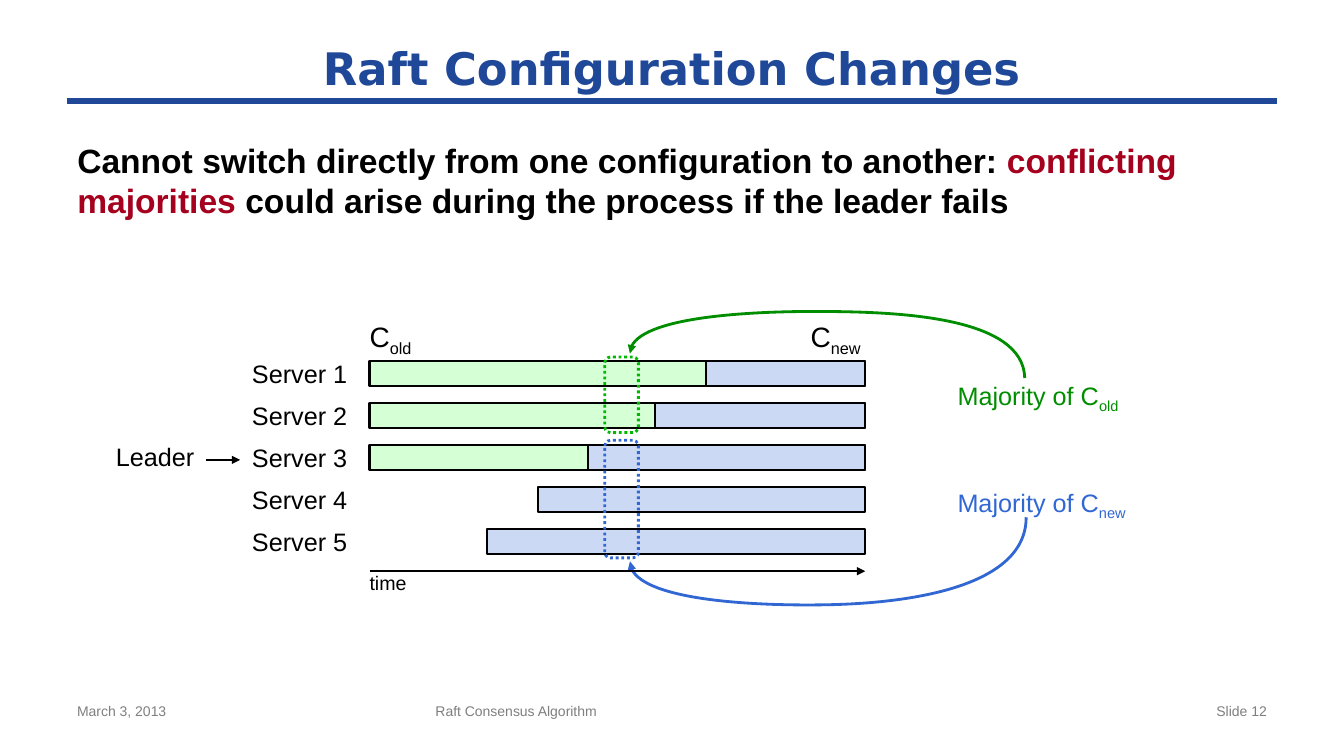
from dataclasses import dataclass

from lxml.etree import SubElement
from pptx import Presentation
from pptx.dml.color import RGBColor
from pptx.enum.dml import MSO_LINE
from pptx.enum.shapes import MSO_CONNECTOR, MSO_SHAPE
from pptx.enum.text import MSO_ANCHOR, MSO_AUTO_SIZE as AutoSize, PP_ALIGN
from pptx.oxml.ns import qn
from pptx.util import Pt

BLACK, NAVY, RED, GRAY = "000000", "1F4899", "A5001E", "7F7F7F"
OLD_FILL, NEW_FILL = "D5FFD5", "CCD9F4"
OLD_TEXT, OLD_FRAME, NEW_ACCENT = "008E00", "00B800", "3167D3"
BAR_LEFT, BAR_RIGHT, BAR_HEIGHT = 264, 618, 18
ROW_TOP, ROW_PITCH = 258, 30


@dataclass(frozen=True)
class Span:
    text: str
    color: str = BLACK
    subscript: bool = False


@dataclass(frozen=True)
class Label:
    left: float
    top: float
    width: float
    height: float
    size: float
    spans: tuple[Span, ...]


@dataclass(frozen=True)
class Server:
    name: str
    start: float
    switch: float


@dataclass(frozen=True)
class Majority:
    top: float
    height: float
    frame_color: str
    arrow_color: str
    arrow_points: tuple[tuple[float, float], ...]


SERVERS = (
    Server("Server 1", BAR_LEFT, 504),
    Server("Server 2", BAR_LEFT, 468),
    Server("Server 3", BAR_LEFT, 420),
    Server("Server 4", 384, 384),
    Server("Server 5", 348, 348),
)
MAJORITIES = (
    Majority(314.5, 84, NEW_ACCENT, NEW_ACCENT,
             ((733, 369.5), (733, 422), (641, 431), (592, 432),
              (542, 433), (449.5, 429), (450, 401))),
    Majority(255, 54, OLD_FRAME, OLD_TEXT,
             ((732, 270), (731, 226), (641, 223), (592, 222.5),
              (543.5, 222), (449.5, 225.5), (450, 252.5))),
)
LABELS = (
    Label(BAR_LEFT, 228, 32.4, 24.5, 20, (Span("C"), Span("old", subscript=True))),
    Label(579, 228, 39.6, 24.5, 20, (Span("C"), Span("new", subscript=True))),
    Label(684, 271.5, 118, 21.6, 18,
          (Span("Majority of C", OLD_TEXT), Span("old", OLD_TEXT, True))),
    Label(684, 348, 124, 21.6, 18,
          (Span("Majority of C", NEW_ACCENT), Span("new", NEW_ACCENT, True))),
    Label(BAR_LEFT, 408, 26.6, 17.3, 14, (Span("time"),)),
    Label(82.8, 315.5, 57, 21.6, 18, (Span("Leader"),)),
)
FOOTERS = (
    (48, 224, "March 3, 2013", PP_ALIGN.LEFT),
    (304, 360, "Raft Consensus Algorithm", PP_ALIGN.LEFT),
    (688, 224, "Slide 12", PP_ALIGN.RIGHT),
)


def rgb(color: str) -> RGBColor:
    return RGBColor.from_string(color)


def place(shape, left: float, top: float, width: float, height: float) -> None:
    shape.left, shape.top = Pt(left), Pt(top)
    shape.width, shape.height = Pt(width), Pt(height)


def add_spans(paragraph, spans: tuple[Span, ...], size: float,
              font_name: str = "Arial", bold: bool = False) -> None:
    for span in spans:
        run = paragraph.add_run()
        run.text = span.text
        run.font.name, run.font.size, run.font.bold = font_name, Pt(size), bold
        run.font.color.rgb = rgb(span.color)
        if span.subscript:
            run.font._element.set("baseline", "-25000")


def style_line(line, color: str, width: float) -> None:
    line.color.rgb = rgb(color)
    line.width = Pt(width)


def add_arrowhead(line) -> None:
    SubElement(line._get_or_add_ln(), qn("a:tailEnd"), type="triangle")


def add_line(slide, left: float, right: float, y: float, color: str,
             width: float, arrow: bool = False) -> None:
    connector = slide.shapes.add_connector(
        MSO_CONNECTOR.STRAIGHT, Pt(left), Pt(y), Pt(right), Pt(y))
    style_line(connector.line, color, width)
    if arrow:
        add_arrowhead(connector.line)
    SubElement(connector._element.spPr, qn("a:effectLst"))


def add_bar(slide, left: float, top: float, fill: str) -> None:
    shape = slide.shapes.add_shape(
        MSO_SHAPE.RECTANGLE, Pt(left), Pt(top), Pt(BAR_RIGHT - left), Pt(BAR_HEIGHT))
    shape.shadow.inherit = False
    shape.fill.solid()
    shape.fill.fore_color.rgb = rgb(fill)
    style_line(shape.line, BLACK, 1.5)


def add_label(slide, label: Label) -> None:
    box = slide.shapes.add_textbox(
        Pt(label.left), Pt(label.top), Pt(label.width), Pt(label.height))
    frame = box.text_frame
    frame.margin_left = frame.margin_right = frame.margin_top = frame.margin_bottom = 0
    frame.word_wrap = False
    frame.auto_size = AutoSize.SHAPE_TO_FIT_TEXT
    add_spans(frame.paragraphs[0], label.spans, label.size)


def add_majority(slide, majority: Majority) -> None:
    shape = slide.shapes.add_shape(
        MSO_SHAPE.ROUNDED_RECTANGLE, Pt(432), Pt(majority.top), Pt(24), Pt(majority.height))
    shape.shadow.inherit = False
    shape.fill.background()
    style_line(shape.line, majority.frame_color, 2)
    shape.line.dash_style = MSO_LINE.ROUND_DOT


def add_curved_arrow(slide, majority: Majority) -> None:
    start, *points = [(Pt(x), Pt(y)) for x, y in majority.arrow_points]
    builder = slide.shapes.build_freeform(*start)
    builder.add_line_segments(points, close=False)
    shape = builder.convert_to_shape()
    shape.shadow.inherit = False
    shape.fill.background()
    style_line(shape.line, majority.arrow_color, 2)
    add_arrowhead(shape.line)
    outline = next(shape._element.iter(qn("a:path")))
    segments = outline.findall(qn("a:lnTo"))
    for first in range(0, len(segments), 3):
        curve = SubElement(outline, qn("a:cubicBezTo"))
        for segment in segments[first:first + 3]:
            curve.append(segment[0])
            outline.remove(segment)


def fill_placeholders(slide) -> None:
    title, body = slide.placeholders
    place(title, 48, 24, 864, 48)
    title.text_frame.vertical_anchor = MSO_ANCHOR.MIDDLE
    title.text_frame.auto_size = AutoSize.NONE
    heading = title.text_frame.paragraphs[0]
    heading.alignment = PP_ALIGN.CENTER
    add_spans(heading, (Span("Raft Configuration Changes", NAVY),), 32, "DejaVu Sans", True)

    place(body, 48, 96, 864, 386.5)
    body.text_frame.auto_size = AutoSize.NONE
    paragraph = body.text_frame.paragraphs[0]
    properties = paragraph._p.get_or_add_pPr()
    properties.set("marL", "0")
    properties.set("indent", "0")
    SubElement(properties, qn("a:buNone"))
    paragraph.space_before = Pt(0)
    add_spans(paragraph, (
        Span("Cannot switch directly from one configuration to another: "),
        Span("conflicting majorities ", RED),
        Span("could arise during the process if the leader fails"),
    ), 24, bold=True)


def main() -> None:
    presentation = Presentation()
    presentation.slide_width, presentation.slide_height = Pt(960), Pt(540)
    slide = presentation.slides.add_slide(presentation.slide_layouts[1])
    fill_placeholders(slide)
    add_line(slide, 48, 912, 72, NAVY, 4)
    for left, width, text, alignment in FOOTERS:
        box = slide.shapes.add_textbox(Pt(left), Pt(498), Pt(width), Pt(31))
        box.text_frame.word_wrap = True
        paragraph = box.text_frame.paragraphs[0]
        paragraph.alignment = alignment
        add_spans(paragraph, (Span(text, GRAY),), 10)
    for row, server in enumerate(SERVERS):
        top = ROW_TOP + row * ROW_PITCH
        if server.switch > server.start:
            add_bar(slide, server.start, top, OLD_FILL)
        add_bar(slide, server.switch, top, NEW_FILL)
        add_label(slide, Label(180, top - 2, 68.4, 21.6, 18, (Span(server.name),)))
    for majority in MAJORITIES:
        add_majority(slide, majority)
    for label in LABELS:
        add_label(slide, label)
    for majority in MAJORITIES:
        add_curved_arrow(slide, majority)
    add_line(slide, BAR_LEFT, BAR_RIGHT, 408, BLACK, 1.5, arrow=True)
    add_line(slide, 147, 171.5, 328.5, BLACK, 1.5, arrow=True)
    presentation.save("out.pptx")


if __name__ == "__main__":
    main()
